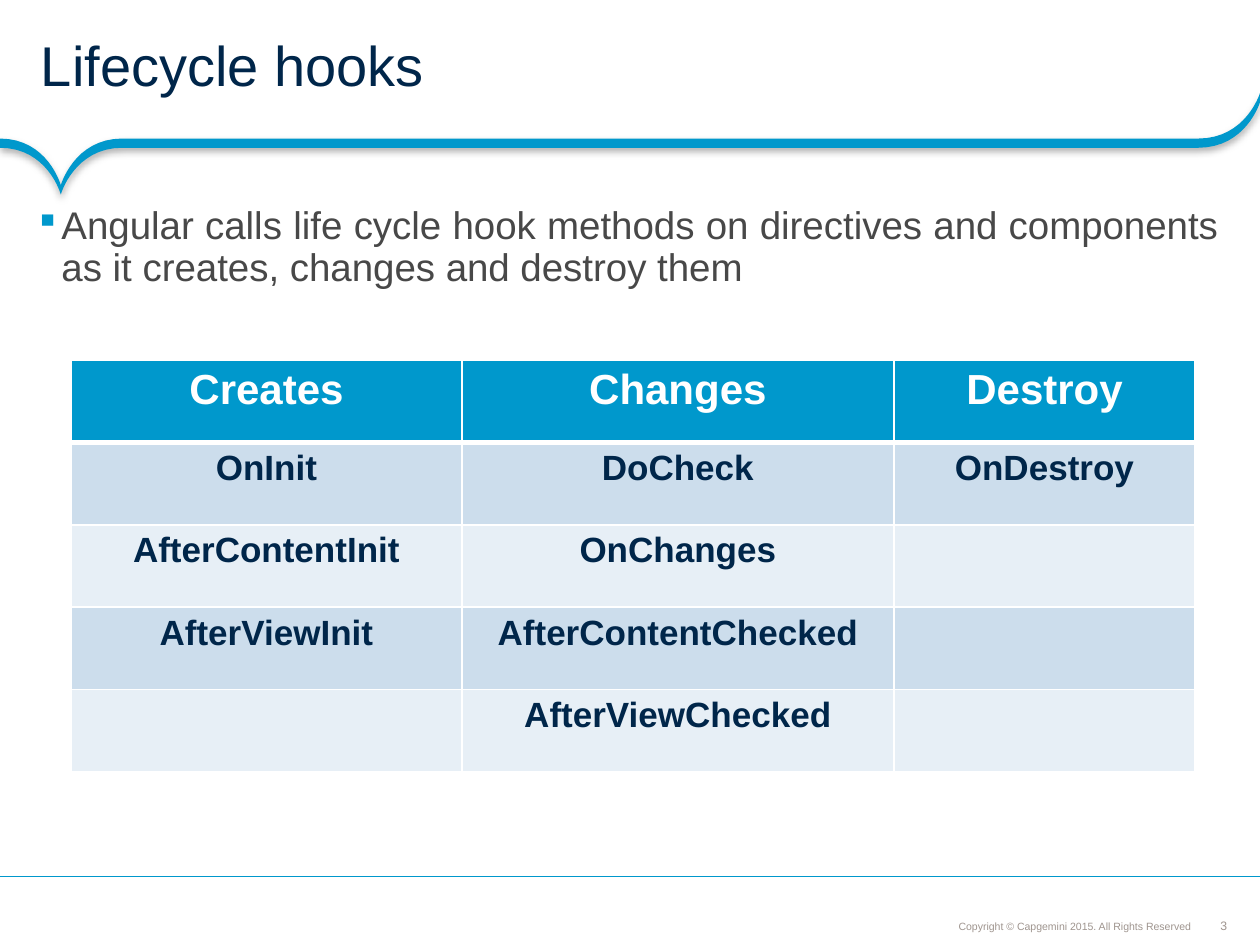
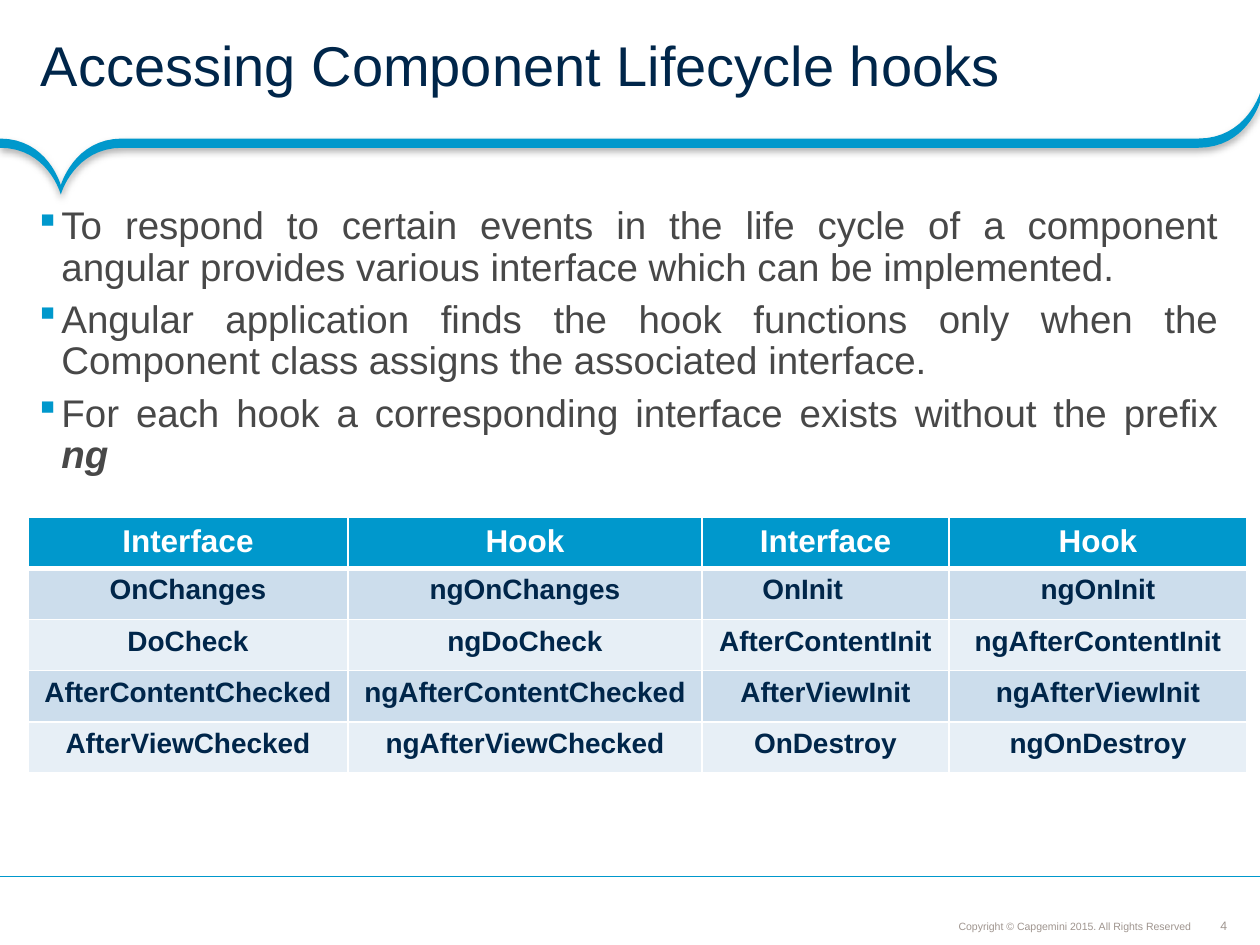
from dataclasses import dataclass
from lxml import etree
from pptx import Presentation
from pptx.dml.color import RGBColor
from pptx.enum.shapes import MSO_CONNECTOR
from pptx.enum.text import MSO_ANCHOR, PP_ALIGN
from pptx.oxml import parse_xml
from pptx.oxml.ns import nsdecls, qn
from pptx.util import Emu, Inches, Pt


@dataclass(frozen=True)
class Theme:
    font: str = "Arial"
    bullet_font: str = "Wingdings"
    bullet: str = "§"  # a small square in the bullet font
    blue: str = "0098CC"
    navy: str = "00264A"
    body: str = "484848"
    grey: str = "9F958F"
    white: str = "FFFFFF"
    stripes: tuple = ("E7EFF6", "CCDDEC")
    title_size: float = 32
    body_size: float = 22
    copyright_size: float = 6
    number_size: float = 7


THEME = Theme()
COLS, ROWS = 100, 75  # the slide as a grid of tenth-inch squares


def grid(*counts):
    return [Emu(round(n * Inches(0.1))) for n in counts]


def add_text(slide, box, paragraphs, size, color, align=PP_ALIGN.LEFT,
             anchor=MSO_ANCHOR.TOP, insets=(1, 0.5, 1, 0.5), wrap=True,
             spacing=None, bullets=False):
    """Add a text box; each paragraph is a list of (text, emphasised) runs."""
    frame = slide.shapes.add_textbox(*grid(*box)).text_frame
    frame.word_wrap = wrap
    frame.vertical_anchor = anchor
    (frame.margin_left, frame.margin_top,
     frame.margin_right, frame.margin_bottom) = grid(*insets)
    for index, runs in enumerate(paragraphs):
        paragraph = frame.paragraphs[0] if index == 0 else frame.add_paragraph()
        if bullets:
            props = paragraph._p.get_or_add_pPr()
            indent, = grid(1.8)
            props.set("marL", str(indent))
            props.set("indent", str(-indent))
            for element in (
                    f'<a:buClr {nsdecls("a")}><a:srgbClr val="{THEME.blue}"/></a:buClr>',
                    f'<a:buFont {nsdecls("a")} typeface="{THEME.bullet_font}" charset="2"/>',
                    f'<a:buChar {nsdecls("a")} char="{THEME.bullet}"/>'):
                props.append(parse_xml(element))
            paragraph.space_after = Pt(6)
        paragraph.alignment = align
        if spacing:
            paragraph.line_spacing = spacing
        for text, emphasised in runs:
            run = paragraph.add_run()
            run.text = text
            run.font.name = THEME.font
            run.font.size = Pt(size)
            run.font.color.rgb = RGBColor.from_string(color)
            if emphasised:
                run.font.bold = run.font.italic = True


LESSONS = [
    {
        "title": "Lifecycle hooks",
        "points": [[("Angular calls life cycle hook methods on directives and components "
                     "as it creates, changes and destroy them", False)]],
        "points_height": 7.7,
        "table_at": (5.65, 28.6),
        "columns": (31, 34.3, 23.9),
        "row_height": 6.53,
        "sizes": (24, 20),
        "hooks": [
            ("Creates", "Changes", "Destroy"),
            ("OnInit", "DoCheck", "OnDestroy"),
            ("AfterContentInit", "OnChanges", ""),
            ("AfterViewInit", "AfterContentChecked", ""),
            ("", "AfterViewChecked", ""),
        ],
    },
    {
        "title": "Accessing Component Lifecycle hooks",
        "points": [
            [("To respond to certain events in the life cycle of a component "
              "angular provides various interface which can be implemented.", False)],
            [("Angular application finds the hook functions only when the "
              "Component class assigns the associated interface.", False)],
            [("For each hook a corresponding interface exists without the prefix ", False),
             ("ng", True)],
        ],
        "points_height": 22.7,
        "table_at": (2.22, 41.05),
        "columns": (25.4, 28.1, 19.6, 23.65),
        "row_height": 4.06,
        "sizes": (18, 16),
        "hooks": [
            ("Interface", "Hook", "Interface", "Hook"),
            ("OnChanges", "ngOnChanges", "OnInit\t", "ngOnInit"),
            ("DoCheck", "ngDoCheck", "AfterContentInit", "ngAfterContentInit"),
            ("AfterContentChecked", "ngAfterContentChecked", "AfterViewInit", "ngAfterViewInit"),
            ("AfterViewChecked", "ngAfterViewChecked", "OnDestroy", "ngOnDestroy"),
        ],
    },
]

# Upper edge of the ribbon as Bézier curves; the lower edge runs parallel to it.
RIBBON_CURVES = [
    ((0, 11), (3.8, 11), (4.83, 14.7), (4.83, 14.7)),
    ((4.83, 14.7), (4.83, 14.7), (5.9, 11), (9.7, 11)),
    ((95.1, 11), (98.9, 11), (COLS, 7.4), (COLS, 7.4)),
]
RIBBON_DEPTH = 0.73
CURVE_STEPS = 16

upper_edge = []
for a, b, c, d in RIBBON_CURVES:
    for step in range(CURVE_STEPS + 1):
        t = step / CURVE_STEPS
        u = 1 - t
        upper_edge.append(tuple(
            u**3 * a[i] + 3 * u * u * t * b[i] + 3 * u * t * t * c[i] + t**3 * d[i]
            for i in (0, 1)))
lower_edge = [(x, y + RIBBON_DEPTH) for x, y in reversed(upper_edge)]
ribbon_outline = [grid(x, y) for x, y in upper_edge + lower_edge]

prs = Presentation()
prs.slide_width, prs.slide_height = grid(COLS, ROWS)

for number, lesson in enumerate(LESSONS, start=3):
    slide = prs.slides.add_slide(prs.slide_layouts[6])

    # Ribbon, footer line and footer texts
    builder = slide.shapes.build_freeform(*ribbon_outline[0], scale=1.0)
    builder.add_line_segments(ribbon_outline[1:], close=True)
    ribbon = builder.convert_to_shape()
    ribbon.fill.solid()
    ribbon.fill.fore_color.rgb = RGBColor.from_string(THEME.blue)
    ribbon.line.fill.background()
    ribbon.shadow.inherit = False
    ribbon._element.spPr.find(qn("a:effectLst")).append(parse_xml(
        f'<a:outerShdw {nsdecls("a")} blurRad="{Pt(4)}" dist="{Pt(2)}" dir="5400000" '
        'algn="t" rotWithShape="0"><a:srgbClr val="000000"><a:alpha val="31000"/>'
        '</a:srgbClr></a:outerShdw>'))

    footer_line = slide.shapes.add_connector(
        MSO_CONNECTOR.STRAIGHT, *grid(COLS, 69.56, 0, 69.56))
    footer_line.line.color.rgb = RGBColor.from_string(THEME.blue)
    footer_line.line.width = Pt(0.75)
    etree.SubElement(footer_line._element.spPr, qn("a:effectLst"))

    add_text(slide, (68.02, 72.4, 26.9, 2),
             [[("Copyright © Capgemini 2015. All Rights Reserved", False)]],
             THEME.copyright_size, THEME.grey, PP_ALIGN.RIGHT, MSO_ANCHOR.BOTTOM,
             insets=(0.4,) * 4, spacing=0.9)
    add_text(slide, (96.53, 72.85, 1.2, 1.2), [[(str(number), False)]],
             THEME.number_size, THEME.grey, PP_ALIGN.CENTER, MSO_ANCHOR.MIDDLE,
             insets=(0,) * 4, wrap=False)

    # Title and points
    add_text(slide, (0, 0, COLS, 11), [[(lesson["title"], False)]],
             THEME.title_size, THEME.navy, anchor=MSO_ANCHOR.MIDDLE,
             insets=(3.25, 0.4, 1.8, 0.4), spacing=0.85)
    add_text(slide, (2.1, 15.9, 95.6, lesson["points_height"]), lesson["points"],
             THEME.body_size, THEME.body, PP_ALIGN.JUSTIFY, spacing=0.9, bullets=True)

    # Table of hooks
    hooks, columns = lesson["hooks"], lesson["columns"]
    table = slide.shapes.add_table(
        len(hooks), len(columns),
        *grid(*lesson["table_at"], sum(columns), lesson["row_height"] * len(hooks))).table
    table.horz_banding = False
    for column, width in zip(table.columns, grid(*columns)):
        column.width = width
    for row_index, hook_row in enumerate(hooks):
        is_header = row_index == 0
        fill = THEME.blue if is_header else THEME.stripes[row_index % 2]
        for column_index, hook in enumerate(hook_row):
            cell = table.cell(row_index, column_index)
            for side in "LRTB":
                under_header = (row_index, side) in ((0, "B"), (1, "T"))
                cell._tc.get_or_add_tcPr().append(parse_xml(
                    f'<a:ln{side} {nsdecls("a")} w="{Pt(3 if under_header else 1)}">'
                    f'<a:solidFill><a:srgbClr val="{THEME.white}"/></a:solidFill></a:ln{side}>'))
            cell.fill.solid()
            cell.fill.fore_color.rgb = RGBColor.from_string(fill)
            if not hook:
                continue
            paragraph = cell.text_frame.paragraphs[0]
            paragraph.alignment = PP_ALIGN.CENTER
            run = paragraph.add_run()
            run.text = hook
            run.font.name = THEME.font
            run.font.size = Pt(lesson["sizes"][0 if is_header else 1])
            run.font.bold = True
            run.font.color.rgb = RGBColor.from_string(THEME.white if is_header else THEME.navy)

prs.save("out.pptx")
